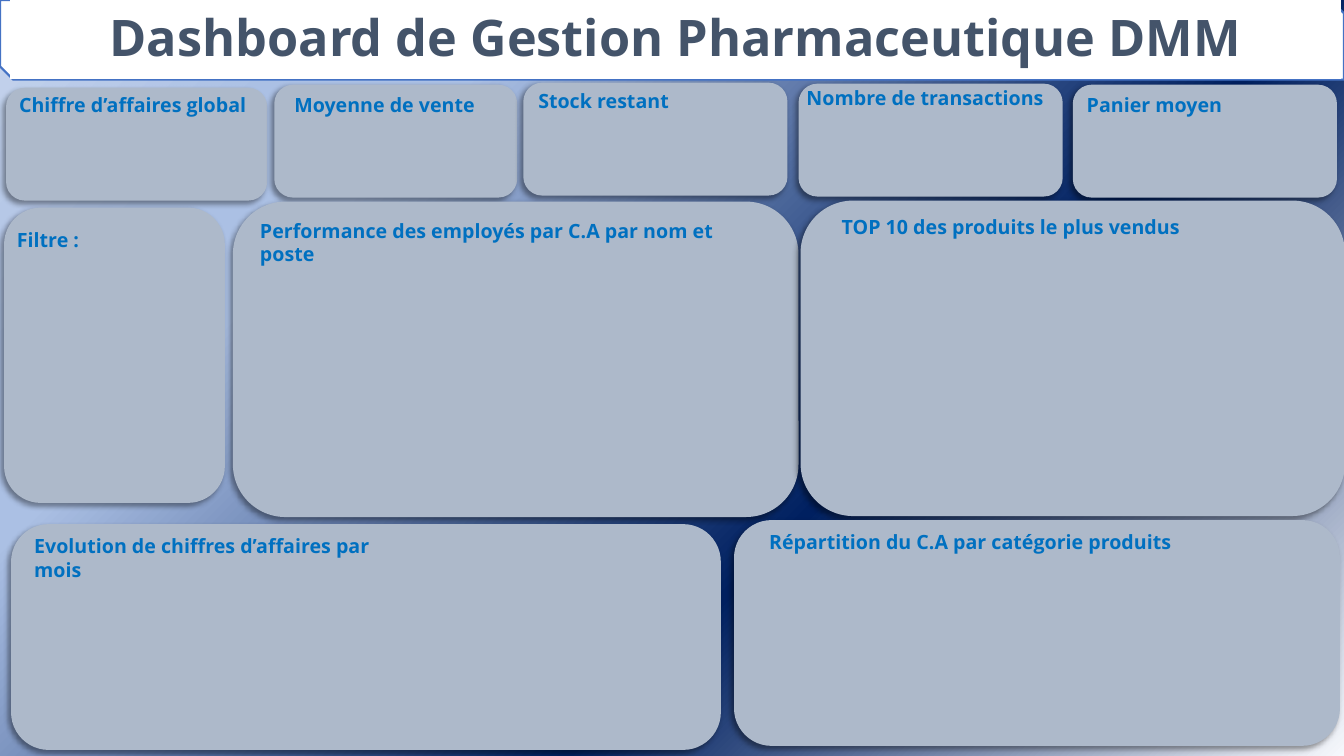
"""Build the pharmacy management dashboard slide."""
from pptx import Presentation
from pptx.dml.color import RGBColor
from pptx.enum.shapes import MSO_SHAPE
from pptx.enum.text import MSO_ANCHOR, MSO_AUTO_SIZE, PP_ALIGN
from pptx.oxml import parse_xml
from pptx.oxml.ns import nsdecls
from pptx.util import Inches, Pt

FONT = "Open Sans"
TITLE = "Dashboard de Gestion Pharmaceutique DMM"
HEADING_HEIGHT = 0.34
BACKDROP = [(0, "F6F8FC"), (37, "002060"), (74, "ABC0E4"), (83, "ABC0E4"), (100, "C7D5ED")]

# heading, card (left, top, width, height), heading box (left, top, width)
PANELS = [
    ("Chiffre d’affaires global", (0.06, 0.87, 2.59, 1.12), (0.09, 0.87, 2.59)),
    ("Moyenne de vente", (2.72, 0.84, 2.41, 1.12), (2.82, 0.87, 2.59)),
    ("Stock restant", (5.19, 0.82, 2.62, 1.12), (5.24, 0.83, 2.59)),
    ("Nombre de transactions", (7.92, 0.83, 2.62, 1.12), (7.9, 0.8, 2.59)),
    ("Panier moyen", (10.64, 0.84, 2.62, 1.12), (10.68, 0.87, 2.59)),
    ("Filtre :", (0.04, 2.06, 2.19, 2.93), (0.07, 2.21, 2.59)),
    ("Performance des employés par C.A par nom et poste",
     (2.31, 2, 5.61, 3.13), (2.48, 2.12, 5.08)),
    ("TOP 10 des produits le plus vendus", (7.94, 1.99, 5.4, 3.13), (8.25, 2.08, 4.64)),
    ("Evolution de chiffres d’affaires par mois",
     (0.11, 5.2, 7.04, 2.24), (0.24, 5.25, 4.01)),
    ("Répartition du C.A par catégorie produits",
     (7.28, 5.16, 6.01, 2.24), (7.53, 5.21, 5.16)),
]


def rgb(code):
    return RGBColor.from_string(code)


def paint_backdrop(slide):
    stops = "".join(f'<a:gs pos="{pos * 1000}"><a:srgbClr val="{code}"/></a:gs>'
                    for pos, code in BACKDROP)
    slide.element.cSld.insert(0, parse_xml(
        f'<p:bg {nsdecls("p", "a")}><p:bgPr><a:gradFill rotWithShape="1">'
        f'<a:gsLst>{stops}</a:gsLst><a:path path="circle">'
        '<a:fillToRect l="100000" t="100000"/></a:path>'
        '<a:tileRect r="-100000" b="-100000"/></a:gradFill>'
        '<a:effectLst/></p:bgPr></p:bg>'))


def write(shape, text, size, code):
    frame = shape.text_frame
    frame.text = text
    frame.word_wrap = True
    frame.auto_size = MSO_AUTO_SIZE.SHAPE_TO_FIT_TEXT
    paragraph = frame.paragraphs[0]
    font = paragraph.font
    font.name, font.size, font.bold = FONT, Pt(size), True
    font.color.rgb = rgb(code)
    return paragraph


def add_filled(slide, preset, box, code):
    shape = slide.shapes.add_shape(preset, *map(Inches, box))
    shape.shadow.inherit = False
    shape.fill.solid()
    shape.fill.fore_color.rgb = rgb(code)
    return shape


def add_header(slide):
    banner = add_filled(slide, MSO_SHAPE.SNIP_2_DIAG_RECTANGLE, (0, 0, 13.33, 0.79), "FFFFFF")
    banner.line.color.rgb = rgb("4472C4")
    banner.line.width = Pt(1.5)

    title = slide.shapes.title
    title.left, title.top, title.width, title.height = map(Inches, (0.1, 0.01, 13.2, 0.71))
    title.fill.solid()
    title.fill.fore_color.rgb = rgb("FFFFFF")
    title.line.color.rgb = rgb("FFFFFF")
    title.line.width = Pt(0.75)
    write(title, TITLE, 36, "44546A").alignment = PP_ALIGN.CENTER
    title.text_frame.vertical_anchor = MSO_ANCHOR.MIDDLE
    banner.element.addnext(title.element)


def add_panel(slide, heading, card_box, heading_box):
    card = add_filled(slide, MSO_SHAPE.ROUNDED_RECTANGLE, card_box, "ADB9CA")
    card.line.fill.background()
    card.element.spPr.find("{*}effectLst").append(parse_xml(
        f'<a:outerShdw {nsdecls("a")} blurRad="{Pt(4)}" dist="{Pt(3)}" dir="8100000" '
        'algn="tr" rotWithShape="0"><a:srgbClr val="000000">'
        '<a:alpha val="40000"/></a:srgbClr></a:outerShdw>'))
    label = slide.shapes.add_textbox(*map(Inches, (*heading_box, HEADING_HEIGHT)))
    write(label, heading, 14, "0070C0")


def main():
    deck = Presentation()
    deck.slide_width, deck.slide_height = Inches(13.33), Inches(7.5)
    slide = deck.slides.add_slide(deck.slide_layouts[5])
    paint_backdrop(slide)
    add_header(slide)
    for panel in PANELS:
        add_panel(slide, *panel)
    deck.save("out.pptx")


if __name__ == "__main__":
    main()
